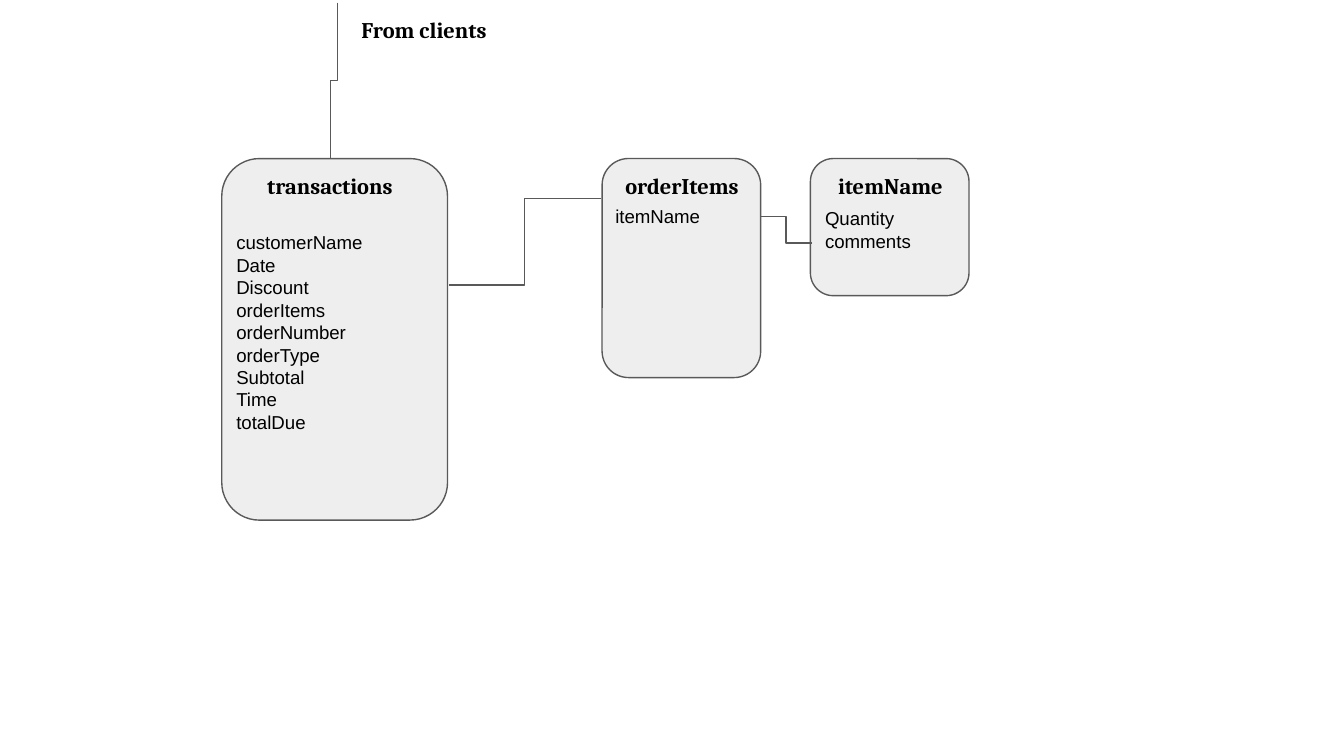
from pptx import Presentation
from pptx.util import Inches, Pt
from pptx.dml.color import RGBColor
from pptx.enum.shapes import MSO_SHAPE, MSO_CONNECTOR
from pptx.enum.text import PP_ALIGN, MSO_ANCHOR
from lxml import etree

INK, FILL, OUTLINE = "000000", "EEEEEE", "595959"
ENTITY_TOP = 1.18
ENTITIES = [
    dict(title="transactions", card=(1.65, 1.68, 2.69),
         title_box=(1.64, ENTITY_TOP, 1.63, 0.61),
         fields_box=(1.66, 1.62, 1.68, 2.22),
         fields=["customerName", "Date", "Discount", "orderItems",
                 "orderNumber", "orderType", "Subtotal", "Time", "totalDue"]),
    dict(title="orderItems", card=(4.48, 1.18, 1.63),
         title_box=(4.48, ENTITY_TOP, 1.19, 0.42),
         fields_box=(4.48, 1.44, 1.18, 1.35),
         fields=["itemName"]),
    dict(title="itemName", card=(6.03, 1.18, 1.02),
         title_box=(6.03, ENTITY_TOP, 1.19, 0.42),
         fields_box=(6.04, 1.44, 1.18, 0.74),
         fields=["Quantity", "comments"]),
]
RELATIONS = [((3.34, 2.12), (4.47, 1.48)), ((5.66, 1.61), (6.04, 1.81))]
CLIENTS_LINK = ((2.51, 0.02), (2.46, 1.18))
CLIENTS_LABEL = "From clients"
CLIENTS_BOX = (2.51, 0.02, 1.29, 0.28)


def color(value):
    return RGBColor.from_string(value)


def add_text(lines, box, heading=False):
    frame = slide.shapes.add_textbox(*map(Inches, box)).text_frame
    frame.word_wrap = True
    frame.vertical_anchor = MSO_ANCHOR.TOP
    frame.margin_left = frame.margin_right = Inches(0.1)
    frame.margin_top = frame.margin_bottom = Inches(0.1)
    frame.text = "\n".join(lines)
    for paragraph in frame.paragraphs:
        paragraph.alignment = PP_ALIGN.CENTER if heading else PP_ALIGN.LEFT
        font = paragraph.runs[0].font
        font.name = "Cambria" if heading else "Arial"
        font.size = Pt(12 if heading else 10)
        font.bold = heading
        font.color.rgb = color(INK)


def style_outline(line):
    line.color.rgb = color(OUTLINE)
    line.width = Pt(0.75)


def add_entity(entity):
    left, width, height = entity["card"]
    card = slide.shapes.add_shape(
        MSO_SHAPE.ROUNDED_RECTANGLE, Inches(left), Inches(ENTITY_TOP),
        Inches(width), Inches(height))
    card.shadow.inherit = False
    card.fill.solid()
    card.fill.fore_color.rgb = color(FILL)
    style_outline(card.line)
    add_text([entity["title"]], entity["title_box"], heading=True)
    add_text(entity["fields"], entity["fields_box"])


def add_link(start, end, vertical=False):
    (x1, y1), (x2, y2) = start, end
    if vertical:
        mid_x, mid_y = (x1 + x2) / 2, (y1 + y2) / 2
        half_run, half_step = (y2 - y1) / 2, (x1 - x2) / 2
        x1, x2 = mid_x - half_run, mid_x + half_run
        y1, y2 = mid_y - half_step, mid_y + half_step
    link = slide.shapes.add_connector(
        MSO_CONNECTOR.ELBOW, Inches(x1), Inches(y1), Inches(x2), Inches(y2))
    style_outline(link.line)
    properties = link._element.spPr
    if vertical:
        properties.xfrm.set("rot", "5400000")
    etree.SubElement(
        properties, "{http://schemas.openxmlformats.org/drawingml/2006/main}effectLst")


prs = Presentation()
prs.slide_width = Inches(10)
prs.slide_height = Inches(10) * 9 // 16
slide = prs.slides.add_slide(prs.slide_layouts[6])

for entity in ENTITIES:
    add_entity(entity)
for start, end in RELATIONS:
    add_link(start, end)
add_link(*CLIENTS_LINK, vertical=True)
add_text([CLIENTS_LABEL], CLIENTS_BOX, heading=True)

prs.save("out.pptx")
